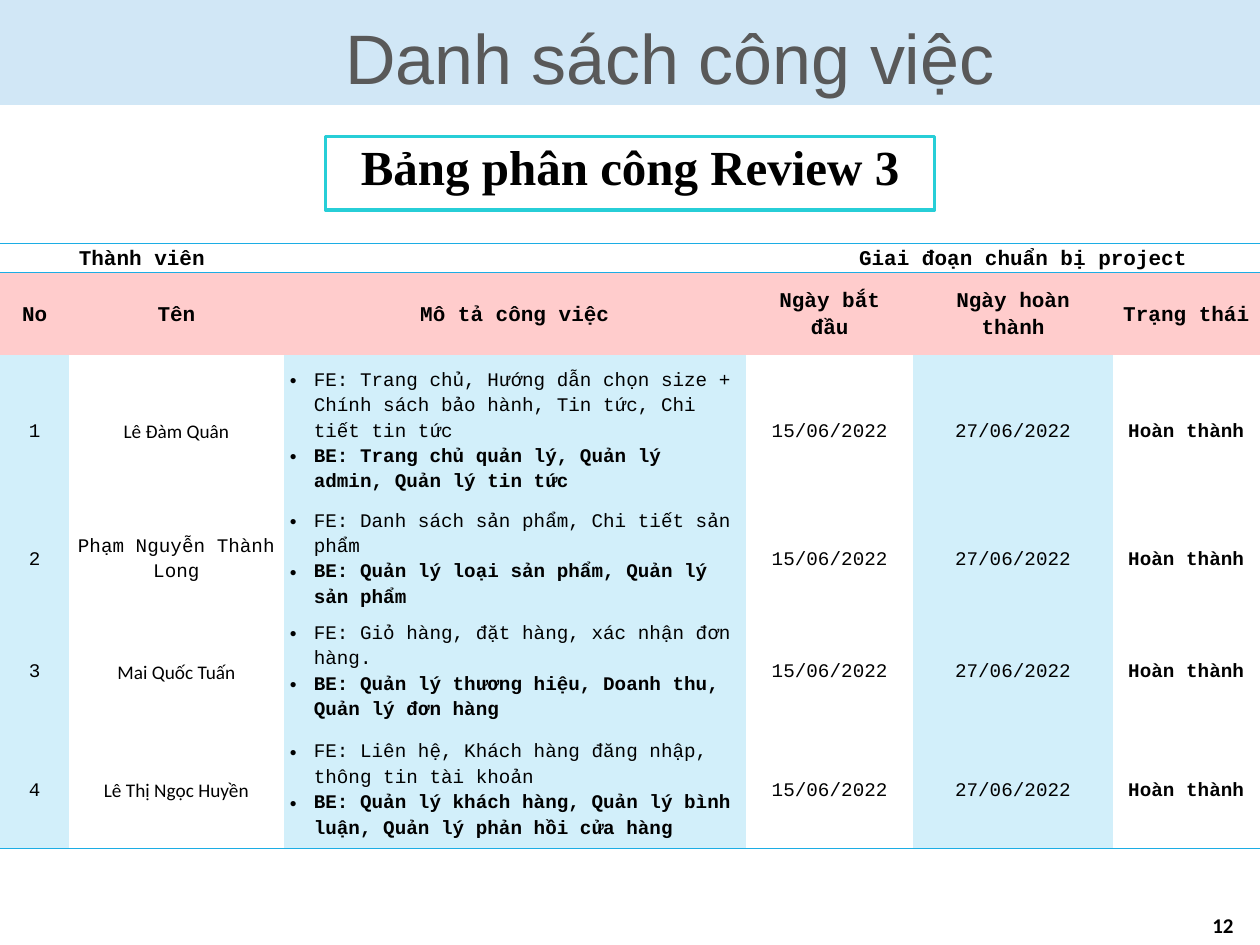
from dataclasses import dataclass

from lxml import etree
from pptx import Presentation
from pptx.dml.color import RGBColor
from pptx.enum import shapes, text
from pptx.oxml import ns
from pptx.util import Pt


@dataclass(frozen=True)
class Theme:
    """Colours, fonts and type sizes of the slide."""
    band: str = "D1E7F6"
    heading: str = "595959"
    ink: str = "000000"
    paper: str = "FFFFFF"
    frame: str = "27CED7"
    rule: str = "1CADE4"
    header: str = "FFCCCC"
    tint: str = "D2EFFA"
    sans: str = "Arial"
    serif: str = "Times New Roman"
    mono: str = "Courier New"
    plain: str = "Calibri"
    heading_size: int = 40
    caption_size: int = 28
    header_size: int = 12
    body_size: int = 11


THEME = Theme()
CENTER = text.PP_ALIGN.CENTER
NO_STYLE = "{2D5ABB26-0587-4C30-8999-92F81FD0307C}"
COLUMN_WIDTHS = (39.6, 122.4, 264.24, 95.76, 113.76, 84.24)
ROW_HEIGHTS = (15.5, 47.5, 85.7, 58.7, 67.7, 67.7)
TINTED_COLUMNS = (0, 2, 4)
HEADERS = ("No", "Tên", "Mô tả công việc", "Ngày bắt đầu",
           "Ngày hoàn thành", "Trạng thái")
START, FINISH, STATUS = "15/06/2022", "27/06/2022", "Hoàn thành"
MEMBERS = (
    ("Lê Đàm Quân", THEME.plain,
     "FE: Trang chủ, Hướng dẫn chọn size + Chính sách bảo hành, Tin tức, Chi tiết tin tức",
     "BE: Trang chủ quản lý, Quản lý admin, Quản lý tin tức"),
    ("Phạm Nguyễn Thành Long", THEME.mono,
     "FE: Danh sách sản phẩm, Chi tiết sản phẩm",
     "BE: Quản lý loại sản phẩm, Quản lý sản phẩm"),
    ("Mai Quốc Tuấn", THEME.plain,
     "FE: Giỏ hàng, đặt hàng, xác nhận đơn hàng.",
     "BE: Quản lý thương hiệu, Doanh thu, Quản lý đơn hàng"),
    ("Lê Thị Ngọc Huyền", THEME.plain,
     "FE: Liên hệ, Khách hàng đăng nhập, thông tin tài khoản",
     "BE: Quản lý khách hàng, Quản lý bình luận, Quản lý phản hồi cửa hàng"),
)


def write(paragraph, words, font, size, bold=False, color=THEME.ink,
          align=CENTER, spacing=None):
    """Fill a paragraph with words in one style."""
    paragraph.text = words
    paragraph.alignment = align
    paragraph.line_spacing = spacing
    paragraph.font.name = font
    paragraph.font.size = Pt(size)
    paragraph.font.bold = bold
    paragraph.font.color.rgb = RGBColor.from_string(color)


def add_panel(slide, left, top, width, height, fill, line=None):
    """Add a filled rectangle, outlined if a line colour is given."""
    panel = slide.shapes.add_shape(shapes.MSO_SHAPE.RECTANGLE, Pt(left), Pt(top),
                                   Pt(width), Pt(height))
    panel.shadow.inherit = False
    panel.fill.solid()
    panel.fill.fore_color.rgb = RGBColor.from_string(fill)
    if line:
        panel.line.color.rgb = RGBColor.from_string(line)
        panel.line.width = Pt(2)
    else:
        panel.line.fill.background()
    return panel


def add_label(slide, left, top, width, height, words, font, size, **style):
    """Add a wrapped text box, centred vertically."""
    frame = slide.shapes.add_textbox(Pt(left), Pt(top), Pt(width), Pt(height)).text_frame
    frame.word_wrap = True
    frame.vertical_anchor = text.MSO_ANCHOR.MIDDLE
    write(frame.paragraphs[0], words, font, size, **style)


def add_bullet(paragraph):
    """Give a paragraph a hanging bullet."""
    props = paragraph._p.get_or_add_pPr()
    props.set("marL", str(Pt(13.7)))
    props.set("indent", str(-Pt(13.7)))
    bullet_font = etree.Element(ns.qn("a:buFont"), typeface=THEME.sans)
    bullet = etree.Element(ns.qn("a:buChar"), char="•")
    props.extend((bullet_font, bullet))


def add_border(cell, side):
    """Rule one side of a cell: lnT for top or lnB for bottom."""
    line = etree.Element(ns.qn(f"a:{side}"), w=str(Pt(1)))
    fill = etree.SubElement(line, ns.qn("a:solidFill"))
    etree.SubElement(fill, ns.qn("a:srgbClr"), val=THEME.rule)
    cell._tc.get_or_add_tcPr().insert(0, line)


def prepare_cell(cell, margin, fill=None):
    """Set a cell's margins, anchor and fill."""
    cell.margin_left = cell.margin_right = Pt(margin)
    cell.margin_top = cell.margin_bottom = 0
    cell.vertical_anchor = text.MSO_ANCHOR.MIDDLE
    if fill:
        cell.fill.solid()
        cell.fill.fore_color.rgb = RGBColor.from_string(fill)
    else:
        cell.fill.background()


def fill_heads(table):
    """Write the two merged group heads and the column headers."""
    for column, words in enumerate(HEADERS):
        group, header = table.cell(0, column), table.cell(1, column)
        prepare_cell(group, 5)
        add_border(group, "lnB")
        add_border(group, "lnT")
        prepare_cell(header, 5, THEME.header)
        write(header.text_frame.paragraphs[0], words, THEME.mono,
              THEME.header_size, bold=True, spacing=1.15)
    for first, last, words in ((0, 1, "Thành viên"),
                               (2, 5, "Giai đoạn chuẩn bị project")):
        group = table.cell(0, first)
        group.merge(table.cell(0, last))
        write(group.text_frame.paragraphs[0], words, THEME.mono,
              THEME.header_size, bold=True, spacing=1.15)
    table.cell(0, 2).margin_left = Pt(292)


def fill_member(table, number, name, name_font, front_end, back_end):
    """Write one member's row."""
    row = number + 1
    entries = (
        ((str(number), THEME.mono, False),),
        ((name, name_font, False),),
        ((front_end, THEME.mono, False), (back_end, THEME.mono, True)),
        ((START, THEME.mono, False),),
        ((FINISH, THEME.mono, False),),
        ((STATUS, THEME.mono, True),),
    )
    for column, lines in enumerate(entries):
        cell = table.cell(row, column)
        prepare_cell(cell, 3.6, THEME.tint if column in TINTED_COLUMNS else None)
        if number == len(MEMBERS):
            add_border(cell, "lnB")
        frame = cell.text_frame
        is_list = len(lines) > 1
        for index, (words, font, bold) in enumerate(lines):
            paragraph = frame.add_paragraph() if index else frame.paragraphs[0]
            write(paragraph, words, font, THEME.body_size, bold, spacing=1.15,
                  align=text.PP_ALIGN.LEFT if is_list else CENTER)
            if is_list:
                add_bullet(paragraph)


def add_assignments(slide):
    """Add the table of members and their tasks."""
    graphic = slide.shapes.add_table(len(ROW_HEIGHTS), len(COLUMN_WIDTHS), 0, Pt(139),
                                     Pt(720), Pt(sum(ROW_HEIGHTS)))
    table = graphic.table
    table.first_row = table.horz_banding = False
    table._tbl.tblPr.find(ns.qn("a:tableStyleId")).text = NO_STYLE
    for column, width in zip(table.columns, COLUMN_WIDTHS):
        column.width = Pt(width)
    for row, height in zip(table.rows, ROW_HEIGHTS):
        row.height = Pt(height)
    fill_heads(table)
    for number, member in enumerate(MEMBERS, 1):
        fill_member(table, number, *member)


def main():
    """Build the slide and save it."""
    deck = Presentation()
    deck.slide_width, deck.slide_height = Pt(720), Pt(540)
    slide = deck.slides.add_slide(deck.slide_layouts[6])
    add_panel(slide, 0, 0, 720, 60, THEME.band)
    add_label(slide, 8.6, 522, 703.4, 13, "12", THEME.plain, 12, bold=True,
              align=text.PP_ALIGN.RIGHT)
    caption = add_panel(slide, 186, 78, 348, 42, THEME.paper, THEME.frame)
    caption.text_frame.vertical_anchor = text.MSO_ANCHOR.MIDDLE
    write(caption.text_frame.paragraphs[0], "Bảng phân công Review 3", THEME.serif,
          THEME.caption_size, bold=True, spacing=0.7)
    add_assignments(slide)
    add_label(slide, 99.4, 16, 566.6, 32.4, "Danh sách công việc", THEME.sans,
              THEME.heading_size, color=THEME.heading)
    deck.save("out.pptx")


main()
